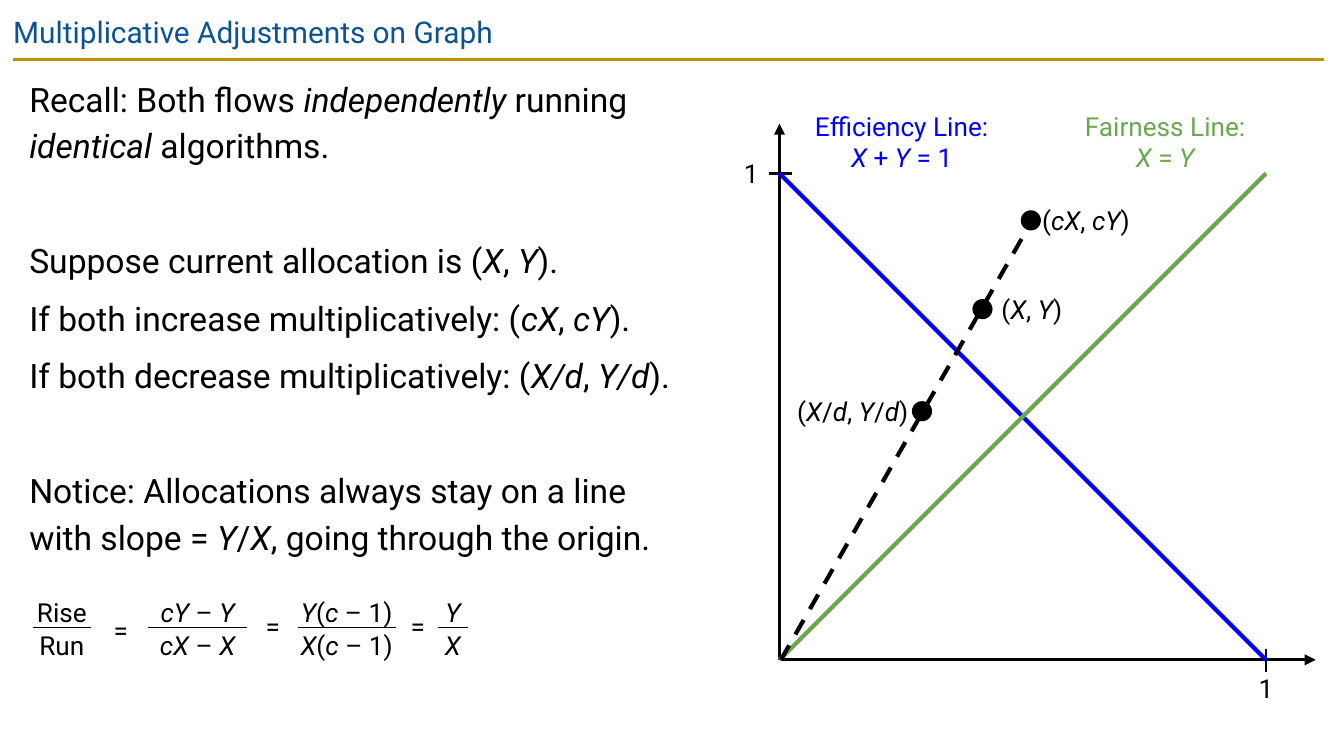
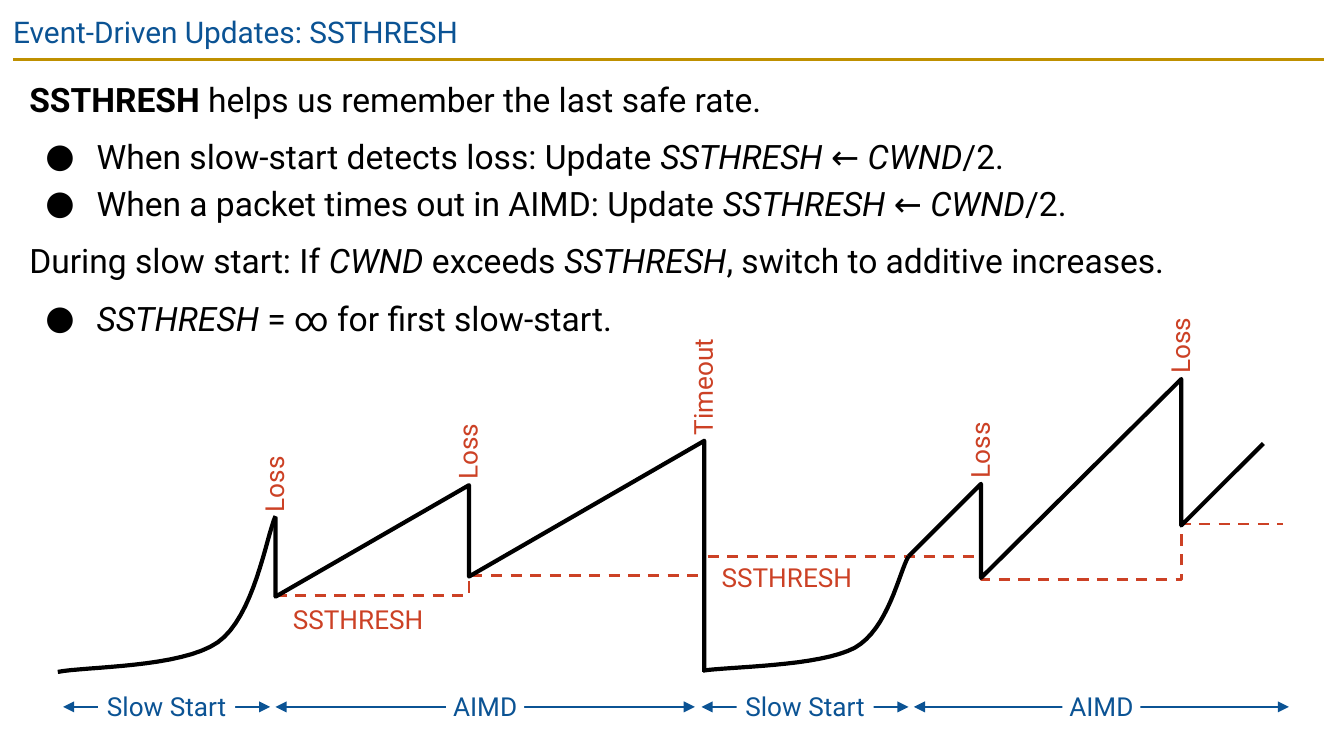
import dataclasses
import itertools

import lxml.etree
import pptx
import pptx.dml.color
import pptx.enum.dml
import pptx.enum.shapes
import pptx.enum.text
import pptx.oxml.ns
import pptx.util

Inches = pptx.util.Inches
Align = pptx.enum.text.PP_ALIGN
Shape = pptx.enum.shapes.MSO_SHAPE


@dataclasses.dataclass(frozen=True)
class Theme:
    font: str = "Roboto"
    ink: str = "000000"
    paper: str = "FFFFFF"
    title: str = "0B5394"
    rule: str = "BF9000"
    efficiency: str = "0000FF"
    fairness: str = "6AA84F"
    threshold: str = "CC4125"
    title_size: float = 16
    body_size: float = 18
    label_size: float = 14
    thin: float = 0.75
    medium: float = 1.5
    thick: float = 2.25


@dataclasses.dataclass(frozen=True)
class Box:
    left: float
    top: float
    width: float
    height: float

    def inner(self, left, top, width, height):
        return Box(self.left + left, self.top + top, width, height)

    def point(self, spot):
        return Inches(self.left + spot[0]), Inches(self.top + spot[1])

    def lengths(self):
        return [Inches(value) for value in (self.left, self.top, self.width, self.height)]


@dataclasses.dataclass(frozen=True)
class Line:
    text: str
    before: float = 6
    bullet: bool = False


@dataclasses.dataclass(frozen=True)
class Event:
    label: str
    x: float
    peak: float
    floor: float
    threshold: float


THEME = Theme()


def rgb(color):
    return pptx.dml.color.RGBColor.from_string(color)


def add_xml(parent, tag, **attributes):
    return lxml.etree.SubElement(parent, pptx.oxml.ns.qn(tag), **attributes)


def write_text(para, text, size=THEME.label_size, color=THEME.ink, align=Align.CENTER,
               before=0, spacing=None, bullet=False, bold_mark="|", italic_mark="*"):
    para.alignment = align
    para.space_before = pptx.util.Pt(before)
    if spacing:
        para.line_spacing = spacing
    if bullet:
        properties = para._p.get_or_add_pPr()
        properties.set("marL", str(Inches(0.5)))
        properties.set("indent", str(Inches(-0.38)))
        add_xml(add_xml(properties, "a:buClr"), "a:srgbClr", val=color)
        add_xml(properties, "a:buFont", typeface=THEME.font)
        add_xml(properties, "a:buChar", char="●")
    for bold_index, part in enumerate(text.split(bold_mark)):
        for italic_index, words in enumerate(part.split(italic_mark)):
            if words:
                span = para.add_run()
                span.text = words
                span.font.name = THEME.font
                span.font.size = pptx.util.Pt(size)
                span.font.color.rgb = rgb(color)
                span.font.bold = bold_index % 2 == 1
                span.font.italic = italic_index % 2 == 1


def fill_frame(frame, lines, inset=0, **style):
    frame.word_wrap = True
    frame.vertical_anchor = pptx.enum.text.MSO_ANCHOR.TOP
    frame.margin_left = frame.margin_right = Inches(inset)
    frame.margin_top = frame.margin_bottom = Inches(inset)
    for index, line in enumerate(lines):
        para = frame.add_paragraph() if index else frame.paragraphs[0]
        write_text(para, line.text, before=line.before if index else 0,
                   bullet=line.bullet, **style)


def add_label(page, box, *texts, rotation=0, **style):
    label = page.shapes.add_textbox(*box.lengths())
    label.rotation = rotation
    fill_frame(label.text_frame, [Line(text, 0) for text in texts], **style)


def style_line(line, color, width, dashed=False):
    line.color.rgb = rgb(color)
    line.width = pptx.util.Pt(width)
    if dashed:
        line.dash_style = pptx.enum.dml.MSO_LINE.DASH


def add_line(page, box, start, end, color=THEME.ink, width=THEME.medium, dashed=False, heads=()):
    connector = page.shapes.add_connector(
        pptx.enum.shapes.MSO_CONNECTOR.STRAIGHT, *box.point(start), *box.point(end))
    style_line(connector.line, color, width, dashed)
    for head in heads:
        add_xml(connector.line._get_or_add_ln(), head, type="triangle")
    add_xml(connector._element.spPr, "a:effectLst")


def add_outline(page, box, spots, color=THEME.ink, width=THEME.thick, dashed=False):
    points = [box.point(spot) for spot in spots]
    builder = page.shapes.build_freeform(*points[0])
    builder.add_line_segments(points[1:], close=False)
    outline = builder.convert_to_shape()
    outline.shadow.inherit = False
    outline.fill.background()
    style_line(outline.line, color, width, dashed)


def add_solid(page, kind, box, color):
    solid = page.shapes.add_shape(kind, *box.lengths())
    solid.shadow.inherit = False
    solid.fill.solid()
    solid.fill.fore_color.rgb = rgb(color)
    solid.line.fill.background()
    return solid


def trace_curve(spots, steps=16):
    traced = [spots[0]]
    for first in range(0, len(spots) - 1, 3):
        corners = spots[first:first + 4]
        for step in range(1, steps + 1):
            t = step / steps
            weights = ((1 - t) ** 3, 3 * t * (1 - t) ** 2, 3 * t * t * (1 - t), t ** 3)
            traced.append(tuple(sum(weight * corner[axis] for weight, corner in zip(weights, corners))
                                for axis in (0, 1)))
    return traced


def add_page(deck, title):
    page = deck.slides.add_slide(deck.slide_layouts[6])
    header = Box(0, 0, 9.32, 0.43)
    add_line(page, header, (0.1, 0.44), (9.85, 0.44), THEME.rule)
    add_label(page, header, title, inset=0.1,
              size=THEME.title_size, color=THEME.title, align=Align.LEFT)
    return page


def add_body(page, box, lines):
    body = page.shapes.add_textbox(*box.lengths())
    fill_frame(body.text_frame, lines, inset=0.1, size=THEME.body_size,
               align=Align.LEFT, spacing=1.15)


def add_graph(page, box):
    side = box.width
    origin = (0, side)
    add_line(page, box, (0, -0.37), origin, heads=["a:headEnd"])
    add_line(page, box, (-0.08, 0), (0.09, 0))
    add_label(page, box.inner(-0.34, -0.12, 0.26, 0.24), "1")
    add_line(page, box, (side + 0.37, side), origin, heads=["a:headEnd"])
    add_line(page, box, (side, side - 0.08), (side, side + 0.09))
    add_label(page, box.inner(side - 0.13, side + 0.09, 0.26, 0.24), "1")

    add_line(page, box, (0, 0), (side, side), THEME.efficiency, THEME.thick)
    add_line(page, box, origin, (side, 0), THEME.fairness, THEME.thick)
    for left, name, formula, color in (
            (2.22, "Fairness Line:", "*X* = *Y*", THEME.fairness),
            (0.26, "Efficiency Line:", "*X* + *Y* = 1", THEME.efficiency)):
        add_label(page, box.inner(left, -0.47, 1.3, 0.47), name, formula, color=color)

    add_line(page, box, (0.01, side), (1.84, 0.42), width=THEME.thick, dashed=True)
    dot = 0.15
    for x, y, left, width, align, text in (
            (1.51, 1.01, 1.65, 0.88, Align.LEFT, "(*X*, *Y*)"),
            (1.87, 0.35, 1.93, 0.7, Align.CENTER, "(*cX*, *cY*)"),
            (1.06, 1.77, 0.13, 0.83, Align.CENTER, "(*X*/*d*, *Y*/*d*)")):
        add_solid(page, Shape.OVAL, box.inner(x - dot / 2, y - dot / 2, dot, dot), THEME.ink)
        add_label(page, box.inner(left, y - 0.12, width, 0.24), text, align=align)


def add_slope_equation(page, box):
    row = box.height / 2
    for middle, width, above, below in (
            (0.24, 0.43, "Rise", "Run"),
            (1.25, 0.73, "*cY* – *Y*", "*cX* – *X*"),
            (2.36, 0.73, "*Y*(*c* – 1)", "*X*(*c* – 1)"),
            (3.15, 0.22, "*Y*", "*X*")):
        for index, text in enumerate((above, below)):
            add_label(page, box.inner(middle - width / 2 - 0.04, index * row, width + 0.08, row), text)
        add_line(page, box, (middle - width / 2, row - 0.01), (middle + width / 2, row - 0.01),
                 width=THEME.thin)
    for middle, top in ((0.68, 0.13), (1.81, 0.1), (2.89, 0.1)):
        add_label(page, box.inner(middle - 0.13, top, 0.26, row), "=")


def add_window_plot(page, box):
    events = [Event("Loss", 1.65, 1.45, 2.04, 2.03),
              Event("Loss", 3.09, 1.21, 1.89, 1.88),
              Event("Timeout", 4.84, 0.88, 2.6, 1.74),
              Event("Loss", 6.9, 1.2, 1.9, 1.91),
              Event("Loss", 8.39, 0.42, 1.51, 1.5)]
    ends = [event.x for event in events[1:]] + [9.15]
    steps = [(x, event.threshold) for event, end in zip(events, ends) for x in (event.x, end)]
    add_outline(page, box, steps, THEME.threshold, THEME.medium, dashed=True)
    for event, gap in ((events[0], 0.06), (events[2], 0.04)):
        add_label(page, box.inner(event.x - 0.01, event.threshold + gap, 1.25, 0.24),
                  "SSTHRESH", color=THEME.threshold)

    for curve in (
            [(0.03, 2.6), (0.23, 2.56), (0.95, 2.57), (1.22, 2.38),
             (1.49, 2.19), (1.58, 1.6), (1.65, 1.44)],
            [(4.83, 2.59), (5.02, 2.56), (5.7, 2.56), (5.96, 2.42),
             (6.21, 2.28), (6.29, 1.86), (6.36, 1.74)]):
        add_outline(page, box, trace_curve(curve))
    teeth = [[(event.x, event.peak), (event.x, event.floor)] for event in events]
    add_outline(page, box, list(itertools.chain(*teeth[:3])))
    add_outline(page, box, [(6.36, 1.74), *itertools.chain(*teeth[3:]), (9, 0.9)])

    for event in events:
        length = 0.74 if event.label == "Timeout" else 0.51
        middle = event.peak - 0.03 - length / 2
        add_label(page, box.inner(event.x - 0.01 - length / 2, middle - 0.13, length, 0.24),
                  event.label, rotation=270, color=THEME.threshold, align=Align.LEFT)


def add_phases(page, box):
    middle = box.height / 2
    for start, end, name, width in (
            (0.07, 1.61, "Slow Start", 1.02), (1.65, 4.77, "AIMD", 0.58),
            (4.82, 6.36, "Slow Start", 1.02), (6.4, 9.19, "AIMD", 0.58)):
        add_line(page, box, (start, middle), (end, middle), THEME.title, THEME.thin,
                 heads=["a:headEnd", "a:tailEnd"])
        label = add_solid(page, Shape.RECTANGLE,
                          box.inner((start + end - width) / 2, 0, width, box.height), THEME.paper)
        fill_frame(label.text_frame, [Line(name)], color=THEME.title)


def build_multiplicative_page(deck):
    page = add_page(deck, "Multiplicative Adjustments on Graph")
    add_body(page, Box(0.12, 0.44, 5.17, 3.99), [
        Line("Recall: Both flows *independently *running *identical *algorithms."),
        Line("Suppose current allocation is (*X*, *Y*).", before=36.8),
        Line("If both increase multiplicatively: (*cX*, *cY*)."),
        Line("If both decrease multiplicatively: (*X/d*, *Y/d*)."),
        Line("Notice: Allocations always stay on a line with slope = *Y*/*X*, "
             "going through the origin.", before=36.8)])
    add_graph(page, Box(5.8, 1.29, 3.62, 3.62))
    add_slope_equation(page, Box(0.22, 4.44, 3.27, 0.48))


def build_threshold_page(deck):
    page = add_page(deck, "Event-Driven Updates: SSTHRESH")
    add_body(page, Box(0.12, 0.44, 9.74, 2.28), [
        Line("|SSTHRESH| helps us remember the last safe rate."),
        Line("When slow-start detects loss: Update *SSTHRESH* ← *CWND*/2.", bullet=True),
        Line("When a packet times out in AIMD: Update *SSTHRESH* ← *CWND*/2.", before=0, bullet=True),
        Line("During slow start: If *CWND* exceeds *SSTHRESH*, switch to additive increases."),
        Line("*SSTHRESH* = ∞ for first slow-start.", bullet=True)])
    add_window_plot(page, Box(0.4, 2.4, 9.2, 2.6))
    add_phases(page, Box(0.4, 5.14, 9.2, 0.24))


def main():
    deck = pptx.Presentation()
    deck.slide_width = Inches(10)
    deck.slide_height = deck.slide_width * 9 // 16
    build_multiplicative_page(deck)
    build_threshold_page(deck)
    deck.save("out.pptx")


if __name__ == "__main__":
    main()
